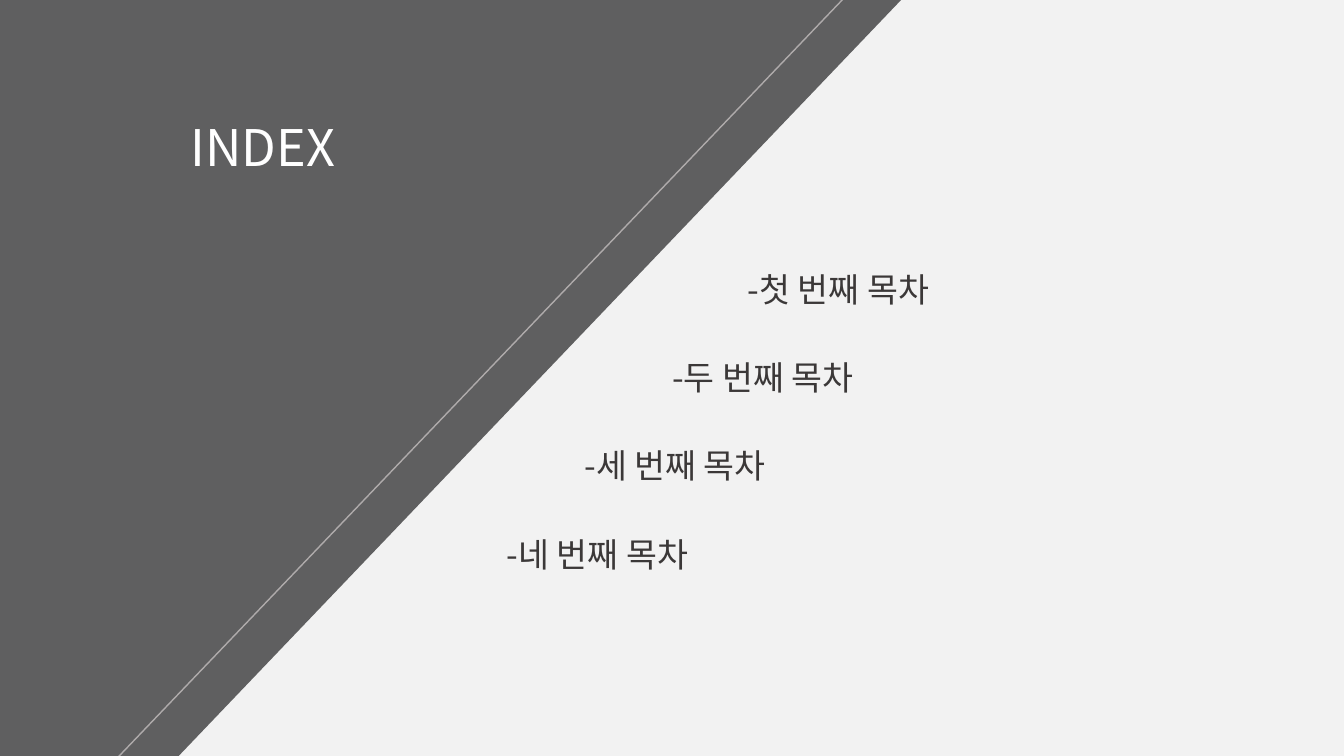
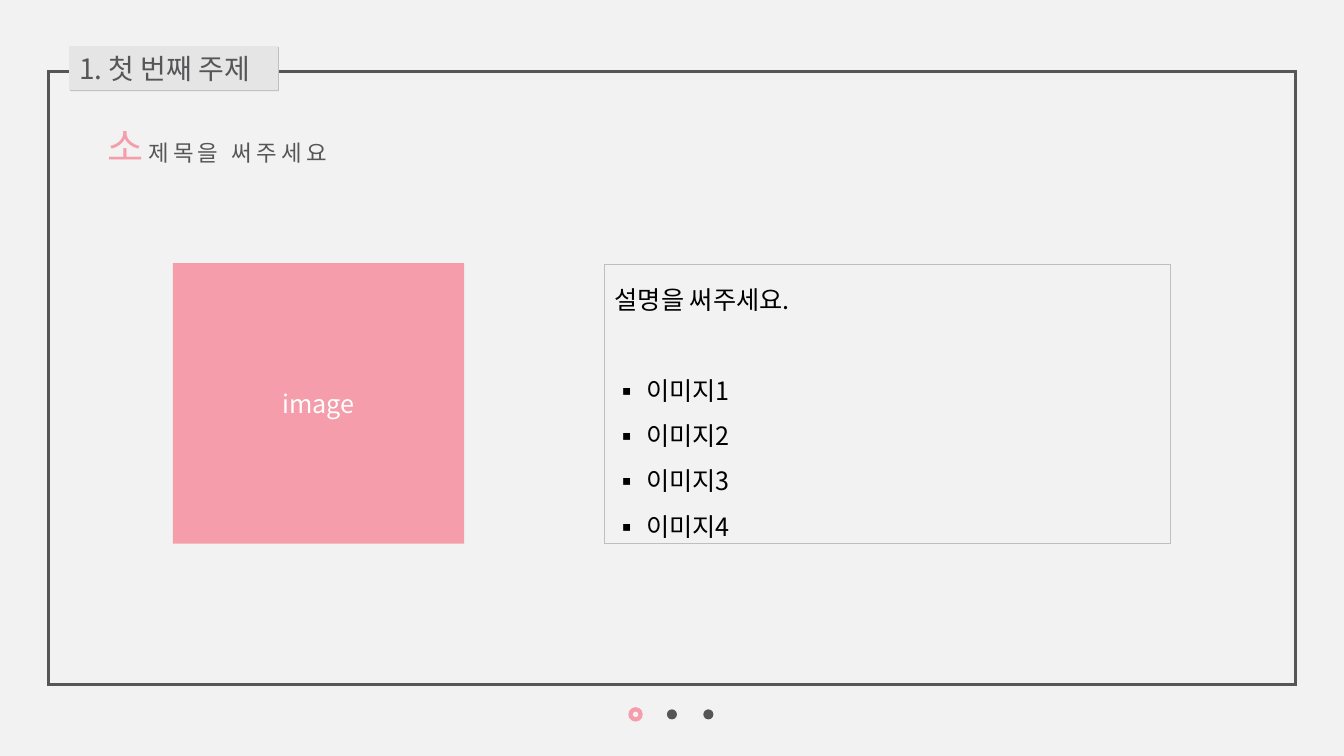
from dataclasses import dataclass

from lxml.etree import SubElement
from pptx import Presentation
from pptx.dml.color import RGBColor
from pptx.enum.shapes import MSO_CONNECTOR, MSO_SHAPE
from pptx.enum.text import MSO_ANCHOR, MSO_AUTO_SIZE, PP_ALIGN
from pptx.oxml.ns import qn
from pptx.util import Pt


@dataclass(frozen=True)
class Theme:
    font: str = "Noto Sans CJK KR"
    paper: str = "F2F2F2"
    dark: str = "5F5F60"
    ink: str = "565658"
    item: str = "3B3838"
    body: str = "000000"
    white: str = "FFFFFF"
    pink: str = "F59DAA"
    tab: str = "E5E5E5"
    edge: str = "BFBFBF"
    stripe: str = "AFABAB"
    index_size: int = 36
    initial_size: int = 28
    item_size: int = 24
    title_size: int = 20
    body_size: int = 18
    subtitle_size: int = 16


T = Theme()
WIDTH, HEIGHT = 960, 540

INDEX_TITLE = "INDEX"
INDEX_ITEMS = [
    ("-첫 번째 목차", 527),
    ("-두 번째 목차", 473),
    ("-세 번째 목차", 410.4),
    ("-네 번째 목차", 355),
]
ITEM_TOP, ITEM_STEP = 188.6, 63
PANEL, PANEL_ANGLE = (-354.4, -263.5, 969.1, 654.5), 313.7
STRIPE = (11.5, 617, 720.7, -124.6)

TOPIC_TITLE = "1. 첫 번째 주제"
SUBTITLE = [
    ("소", dict(size=T.initial_size, color=T.pink)),
    (" ", dict(size=T.subtitle_size, color=T.ink)),
    ("제목을 써주세요", dict(size=T.subtitle_size, color=T.ink, spacing=3)),
]
IMAGE_LABEL = "image"
DESCRIPTION = "설명을 써주세요."
BULLETS = ["이미지1", "이미지2", "이미지3", "이미지4"]
PAGE_COUNT, CURRENT_PAGE = 3, 0
DOT_SIZE, DOT_STEP, DOT_MIDDLE = 7.2, 26, 510.3


def rgb(color):
    return RGBColor.from_string(color)


def add_text(p, text, size, color, spacing=0):
    r = p.add_run()
    r.text = text
    r.font.size = Pt(size)
    r.font.name = T.font
    r.font.bold = False
    r.font.color.rgb = rgb(color)
    if spacing:
        r.font._element.set("spc", str(spacing * 100))


def setup_frame(sp, wrap=True, anchor=MSO_ANCHOR.TOP):
    tf = sp.text_frame
    tf.word_wrap = wrap
    tf.auto_size = MSO_AUTO_SIZE.NONE
    tf.vertical_anchor = anchor
    tf.paragraphs[0].alignment = PP_ALIGN.LEFT
    return tf


def place(sp, left, top, width, height):
    sp.left, sp.top, sp.width, sp.height = map(Pt, (left, top, width, height))


def set_title(s, text, box, size, color):
    sp = s.shapes.title
    place(sp, *box)
    add_text(setup_frame(sp, wrap=False).paragraphs[0], text, size, color)
    return sp


def add_textbox(s, box):
    sp = s.shapes.add_textbox(*map(Pt, box))
    return setup_frame(sp)


def style(sp, fill=None, line=None, weight=1):
    sp.shadow.inherit = False
    if fill:
        sp.fill.solid()
        sp.fill.fore_color.rgb = rgb(fill)
    else:
        sp.fill.background()
    if line:
        sp.line.color.rgb = rgb(line)
        sp.line.width = Pt(weight)
        SubElement(sp.element.spPr.find(qn("a:ln")), qn("a:miter"), lim="800000")
    else:
        sp.line.fill.background()
    return sp


def add_shape(s, kind, box, **look):
    return style(s.shapes.add_shape(kind, *map(Pt, box)), **look)


def add_edge_shadow(sp):
    effects = sp.element.spPr.find(qn("a:effectLst"))
    shadow = SubElement(effects, qn("a:outerShdw"), dist=str(Pt(1)), dir="2700000", algn="tl")
    SubElement(shadow, qn("a:srgbClr"), val=T.edge)


def add_bullet(p):
    pPr = p._p.get_or_add_pPr()
    pPr.set("marL", str(Pt(22.5)))
    pPr.set("indent", str(-Pt(22.5)))
    SubElement(pPr, qn("a:buFont"), typeface=T.font)
    SubElement(pPr, qn("a:buChar"), char="▪")


def build_index(s):
    panel = add_shape(s, MSO_SHAPE.RECTANGLE, PANEL, fill=T.dark)
    panel.rotation = PANEL_ANGLE
    title = set_title(s, INDEX_TITLE, (128.9, 79.2, 150, 51), T.index_size, T.white)
    panel.element.addnext(title.element)

    for i, (text, left) in enumerate(INDEX_ITEMS):
        tf = add_textbox(s, (left, ITEM_TOP + i * ITEM_STEP, 200, 36))
        add_text(tf.paragraphs[0], text, T.item_size, T.item)

    stripe = s.shapes.add_connector(MSO_CONNECTOR.STRAIGHT, *map(Pt, STRIPE))
    stripe.line.color.rgb = rgb(T.stripe)
    stripe.line.width = Pt(1)
    SubElement(stripe.element.spPr, qn("a:effectLst"))


def add_page_dots(s):
    for i in range(PAGE_COUNT):
        center = WIDTH / 2 + (i - (PAGE_COUNT - 1) / 2) * DOT_STEP
        box = (center - DOT_SIZE / 2, DOT_MIDDLE - DOT_SIZE / 2, DOT_SIZE, DOT_SIZE)
        look = dict(line=T.pink, weight=3) if i == CURRENT_PAGE else dict(fill=T.ink)
        add_shape(s, MSO_SHAPE.OVAL, box, **look)


def build_topic(s):
    frame = add_shape(s, MSO_SHAPE.RECTANGLE, (34.5, 51, 891, 438.2), line=T.ink, weight=2)
    title = set_title(s, TOPIC_TITLE, (49.4, 33, 149.2, 31.5), T.title_size, T.ink)
    add_edge_shadow(style(title, fill=T.tab))
    frame.element.addnext(title.element)
    add_page_dots(s)

    tf = add_textbox(s, (69.8, 83.5, 200, 41))
    for text, look in SUBTITLE:
        add_text(tf.paragraphs[0], text, **look)

    image = add_shape(s, MSO_SHAPE.RECTANGLE, (123.6, 188, 208, 200.4), fill=T.pink)
    p = setup_frame(image, anchor=MSO_ANCHOR.MIDDLE).paragraphs[0]
    p.alignment = PP_ALIGN.CENTER
    add_text(p, IMAGE_LABEL, T.body_size, T.white)

    box = add_shape(s, MSO_SHAPE.RECTANGLE, (432, 188.8, 404.2, 199.4), line=T.edge, weight=0.5)
    tf = setup_frame(box)
    for i, text in enumerate([DESCRIPTION] + BULLETS):
        p = tf.add_paragraph() if i else tf.paragraphs[0]
        p.alignment = PP_ALIGN.LEFT
        p.line_spacing = 1.5
        if i == 1:
            p.space_before = Pt(32.4)
        if i:
            add_bullet(p)
        add_text(p, text, T.body_size, T.body)


def main():
    prs = Presentation()
    prs.slide_width, prs.slide_height = Pt(WIDTH), Pt(HEIGHT)
    fill = prs.slide_master.background.fill
    fill.solid()
    fill.fore_color.rgb = rgb(T.paper)
    for build in (build_index, build_topic):
        build(prs.slides.add_slide(prs.slide_layouts[5]))
    prs.save("out.pptx")


if __name__ == "__main__":
    main()
